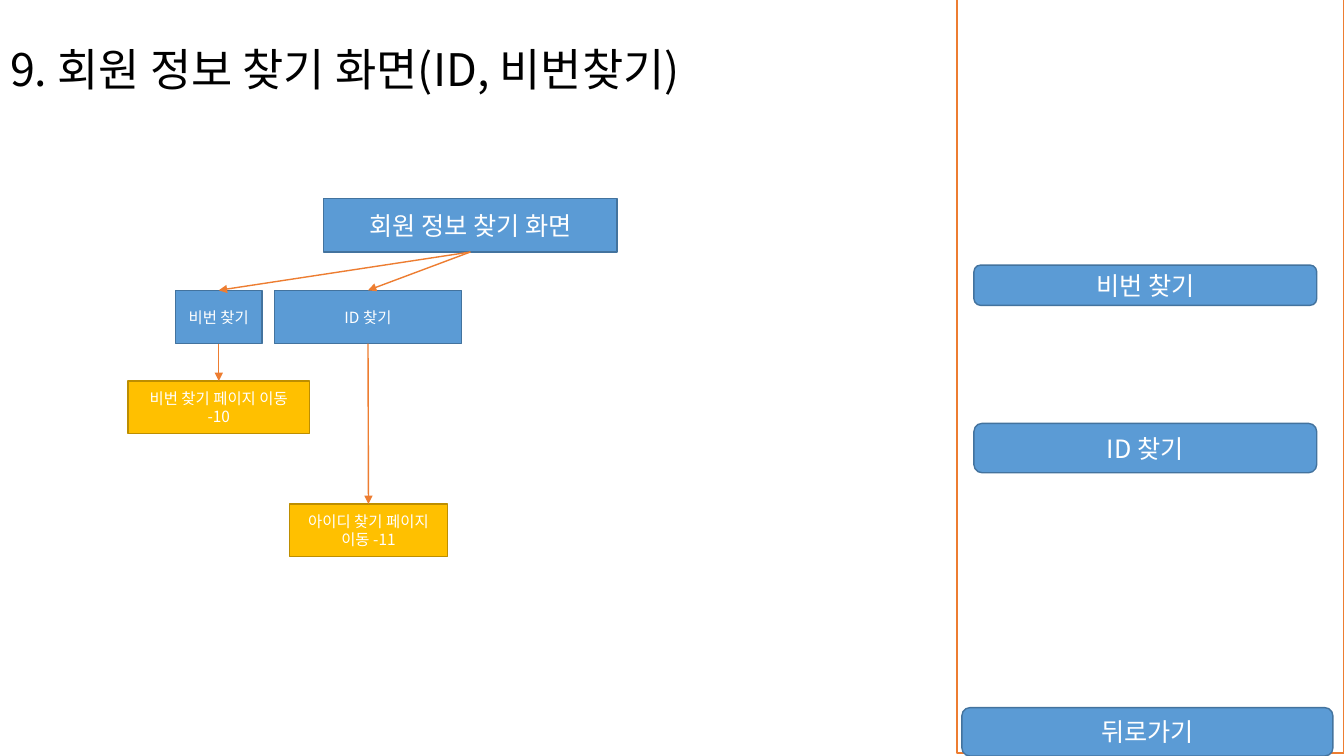
from lxml import etree
from pptx import Presentation
from pptx.dml.color import RGBColor
from pptx.enum.shapes import MSO_CONNECTOR, MSO_SHAPE
from pptx.enum.text import MSO_ANCHOR, PP_ALIGN
from pptx.oxml.ns import qn
from pptx.util import Inches, Pt

FONT = "Noto Sans CJK KR"
BLACK = RGBColor(0x00, 0x00, 0x00)
WHITE = RGBColor(0xFF, 0xFF, 0xFF)
BLUE = RGBColor(0x5B, 0x9B, 0xD5)
DARK_BLUE = RGBColor(0x43, 0x73, 0x9E)
ORANGE = RGBColor(0xED, 0x7D, 0x31)
GOLD = RGBColor(0xFF, 0xC0, 0x00)
DARK_GOLD = RGBColor(0xBD, 0x8E, 0x00)
RECT, ROUNDED = MSO_SHAPE.RECTANGLE, MSO_SHAPE.ROUNDED_RECTANGLE
LEFT, CENTER = PP_ALIGN.LEFT, PP_ALIGN.CENTER
MIDDLE, STRAIGHT = MSO_ANCHOR.MIDDLE, MSO_CONNECTOR.STRAIGHT
TOP_SITE, BOTTOM_SITE = 0, 2

deck = Presentation()
deck.slide_width, deck.slide_height = Inches(13.33), Inches(7.5)
page = deck.slides.add_slide(deck.slide_layouts[5])


def write(shape, text, size=18, color=WHITE, align=CENTER, spacing=1.0):
    frame = shape.text_frame
    frame.word_wrap = True
    frame.vertical_anchor = MIDDLE
    para = frame.paragraphs[0]
    para.alignment = align
    para.line_spacing = spacing
    span = para.add_run()
    span.text = text
    span.font.size = Pt(size)
    span.font.name = FONT
    span.font.color.rgb = color
    etree.SubElement(span.font._element, qn("a:ea"), typeface=FONT)


def add_box(place, kind=RECT, fill=BLUE, line=DARK_BLUE):
    box = page.shapes.add_shape(kind, *[Inches(value) for value in place])
    box.shadow.inherit = False
    box.fill.solid()
    box.fill.fore_color.rgb = fill
    box.line.color.rgb = line
    box.line.width = Pt(1)
    return box


# Title
title = page.shapes.title
title.left, title.top = Inches(0), Inches(-0.01)
title.width, title.height = Inches(11.5), Inches(1.45)
write(title, "9. 회원 정보 찾기 화면(ID, 비번찾기)", size=32, color=BLACK,
      align=LEFT, spacing=0.9)

# Screen panel with its buttons
add_box((9.49, -0.03, 3.84, 7.5), fill=WHITE, line=ORANGE)
for text, place in [
    ("비번 찾기", (9.66, 2.63, 3.4, 0.4)),
    ("ID 찾기", (9.66, 4.2, 3.4, 0.49)),
    ("뒤로가기", (9.54, 7.02, 3.68, 0.48)),
]:
    write(add_box(place, kind=ROUNDED), text)

# Flow chart boxes
screen = add_box((3.21, 1.97, 2.91, 0.53))
write(screen, "회원 정보 찾기 화면")
find_password = add_box((1.74, 2.88, 0.86, 0.53))
write(find_password, "비번 찾기", size=11)
find_id = add_box((2.72, 2.88, 1.86, 0.53))
write(find_id, "ID 찾기", size=11)
password_page = add_box((1.27, 3.78, 1.8, 0.52), fill=GOLD, line=DARK_GOLD)
write(password_page, "비번 찾기 페이지 이동 -10", size=11)
id_page = add_box((2.87, 5, 1.57, 0.52), fill=GOLD, line=DARK_GOLD)
write(id_page, "아이디 찾기 페이지 이동 -11", size=11)

# Arrows from the bottom of one box to the top of the next
for source, target in [
    (screen, find_password),
    (screen, find_id),
    (find_password, password_page),
    (find_id, id_page),
]:
    arrow = page.shapes.add_connector(STRAIGHT, 0, 0, 0, 0)
    arrow.begin_connect(source, BOTTOM_SITE)
    arrow.end_connect(target, TOP_SITE)
    arrow.line.color.rgb = ORANGE
    arrow.line.width = Pt(1)
    etree.SubElement(arrow.line._get_or_add_ln(), qn("a:tailEnd"), type="triangle")
    etree.SubElement(arrow._element.spPr, qn("a:effectLst"))

deck.save("out.pptx")
